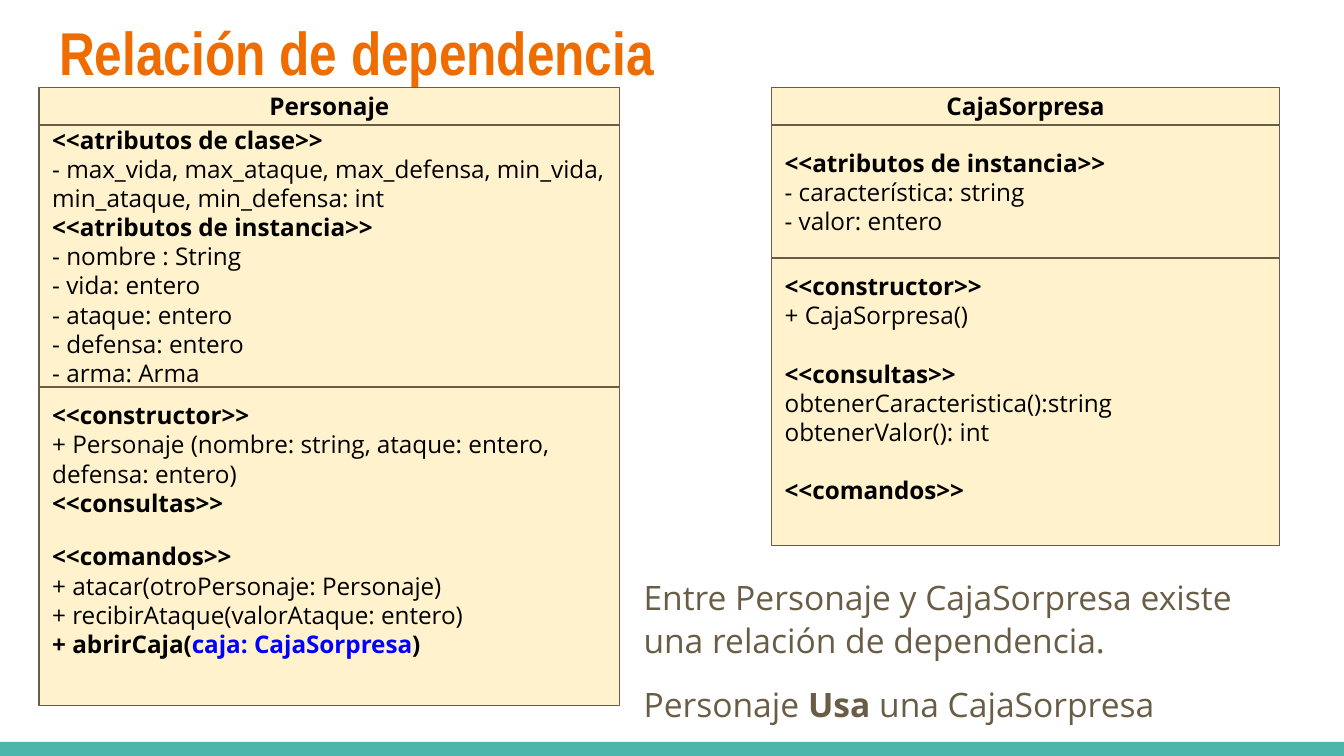
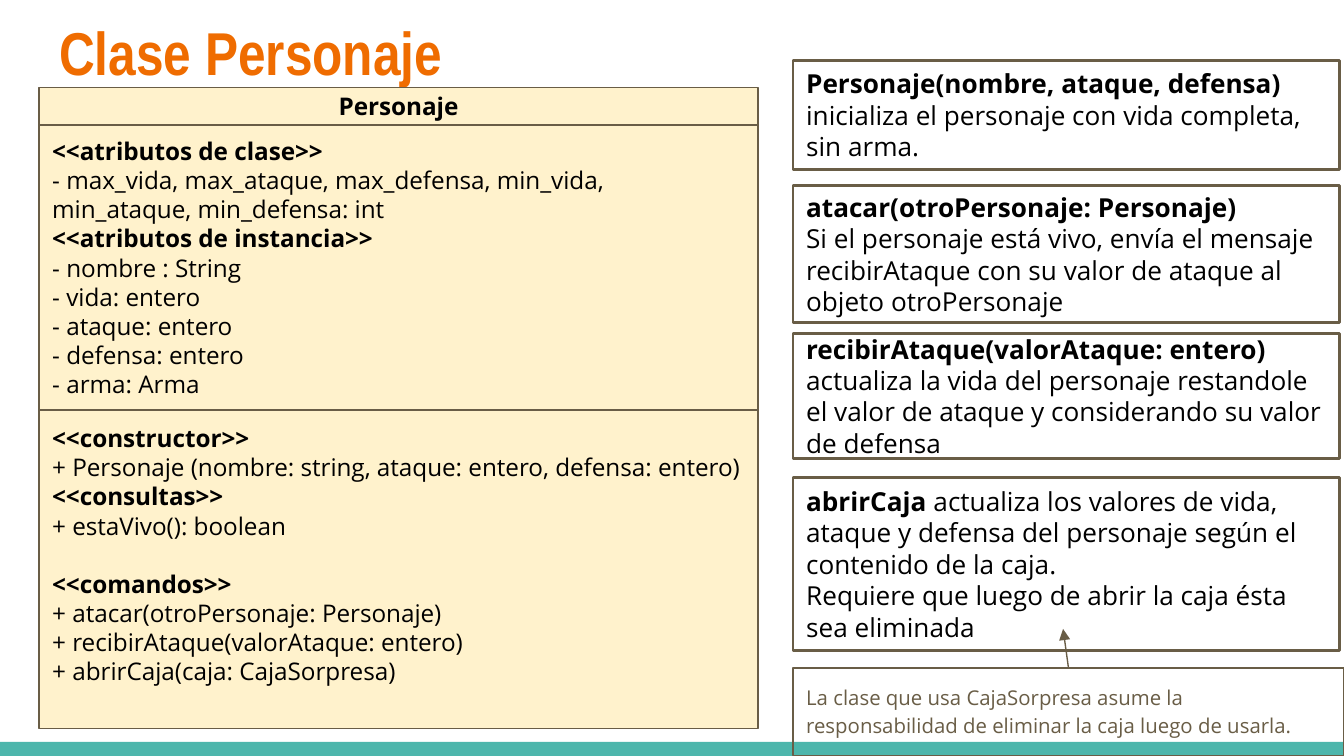
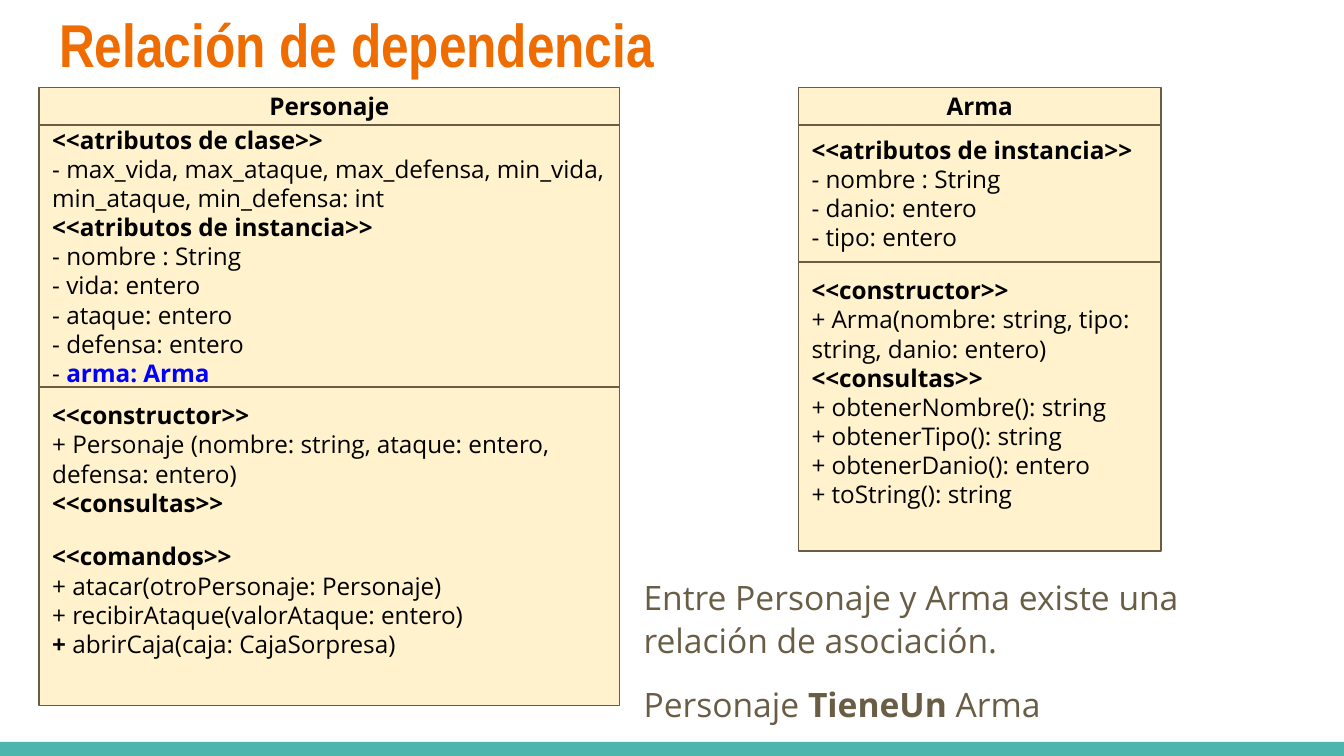
from lxml.etree import SubElement
from pptx import Presentation
from pptx.dml.color import RGBColor
from pptx.enum.shapes import MSO_CONNECTOR, MSO_SHAPE
from pptx.enum.text import MSO_ANCHOR, MSO_AUTO_SIZE, PP_ALIGN
from pptx.oxml.ns import qn
from pptx.util import Inches, Pt

COLORS = {
    "title": "EF6C00",
    "band": "4DB6AC",
    "class": "FFF2CC",
    "brown": "695D46",
    "ink": "000000",
    "highlight": "0000FF",
}
BODY_FONT = "Open Sans"
TITLE_FONT = "Arial Narrow"

prs = Presentation()
prs.slide_width, prs.slide_height = Inches(10), Inches(5.625)
CELL = prs.slide_width // 100


def write(shape, lines, size, color="ink", anchor=MSO_ANCHOR.TOP,
          align=PP_ALIGN.LEFT, font=BODY_FONT, spacing=None, gap=0):
    """Runs are split by |; * marks bold, # bold highlight, ^ a gap above the line."""
    frame = shape.text_frame
    frame.word_wrap = True
    frame.auto_size = MSO_AUTO_SIZE.NONE
    frame.vertical_anchor = anchor
    frame.margin_left = frame.margin_right = CELL
    frame.margin_top = frame.margin_bottom = CELL
    for index, line in enumerate(lines):
        paragraph = frame.add_paragraph() if index else frame.paragraphs[0]
        paragraph.alignment = align
        paragraph.line_spacing = spacing
        paragraph.space_before = Pt(gap if line[0] == "^" else 0)
        parts = line.lstrip("^").split("|")
        all_bold = all(part[0] in "*#" for part in parts)
        paragraph.font.name = font
        paragraph.font.size = Pt(size)
        paragraph.font.bold = all_bold
        paragraph.font.color.rgb = RGBColor.from_string(COLORS[color])
        for part in parts:
            run = paragraph.add_run()
            run.text = part.lstrip("*#")
            if part[0] in "*#" and not all_bold:
                run.font.bold = True
            if part[0] == "#":
                run.font.color.rgb = RGBColor.from_string(COLORS["highlight"])


def add_box(slide, left, top, width, height, fill=None, line="brown", weight=0.75):
    box = slide.shapes.add_shape(
        MSO_SHAPE.RECTANGLE, *(round(n * CELL) for n in (left, top, width, height)))
    box.shadow.inherit = False
    if fill:
        box.fill.solid()
        box.fill.fore_color.rgb = RGBColor.from_string(COLORS[fill])
    else:
        box.fill.background()
    if line:
        box.line.color.rgb = RGBColor.from_string(COLORS[line])
        box.line.width = Pt(weight)
    else:
        box.line.fill.background()
    return box


attributes = [
    "*<<atributos de clase>>",
    "- max_vida, max_ataque, max_defensa, min_vida, min_ataque, min_defensa: int",
    "*<<atributos de instancia>>",
    "- nombre : String",
    "- vida: entero",
    "- ataque: entero",
    "- defensa: entero",
]
constructor = [
    "*<<constructor>>",
    "+ Personaje (nombre: string, ataque: entero, defensa: entero)",
    "*<<consultas>>",
]
commands = [
    "^*<<comandos>>",
    "+ atacar(otroPersonaje: Personaje)",
    "+ recibirAtaque(valorAtaque: entero)",
]
caja_attributes = [
    "*<<atributos de instancia>>",
    "- característica: string",
    "- valor: entero",
]
caja_methods = [
    "*<<constructor>>",
    "+ CajaSorpresa()",
    "^*<<consultas>>",
    "obtenerCaracteristica():string",
    "obtenerValor(): int",
    "^*<<comandos>>",
]
arma_attributes = [
    "*<<atributos de instancia>>",
    "- nombre : String",
    "- danio: entero",
    "- tipo: entero",
]
arma_methods = [
    "*<<constructor>>",
    "+ Arma(nombre: string, tipo: string, danio: entero)",
    "*<<consultas>>",
    "+ obtenerNombre(): string",
    "+ obtenerTipo(): string",
    "+ obtenerDanio(): entero",
    "+ toString(): string",
]

HEADER_TOP, HEADER_BOTTOM = 6.5, 9.3
pages = [
    ("Relación de dependencia", 0, [
        ("Personaje", 2.9, 43.2, 28.8, 52.5, 13.2,
         attributes + ["- arma: Arma"],
         constructor + commands + ["*+ abrirCaja(|#caja: CajaSorpresa|*)"]),
        ("CajaSorpresa", 57.4, 37.8, 19.2, 40.6, 15.6, caja_attributes, caja_methods),
    ], ["Entre Personaje y CajaSorpresa existe una relación de dependencia.",
        "^Personaje |*Usa |una CajaSorpresa"]),
    ("Clase Personaje", 0, [
        ("Personaje", 2.9, 53.5, 30.5, 54.2, 15.6,
         attributes + ["- arma: Arma"],
         constructor + ["+ estaVivo(): boolean"] + commands
         + ["+ abrirCaja(caja: CajaSorpresa)"]),
    ], []),
    ("Relación de dependencia", -0.6, [
        ("Personaje", 2.9, 43.2, 28.8, 52.5, 13.2,
         attributes + ["- |#arma: Arma"],
         constructor + commands + ["*+ |abrirCaja(caja: CajaSorpresa)"]),
        ("Arma", 59.4, 27, 19.5, 41, 15.6, arma_attributes, arma_methods),
    ], ["Entre Personaje y Arma existe una relación de asociación.",
        "^Personaje |*TieneUn |Arma"]),
]

for title, title_top, classes, conclusion in pages:
    slide = prs.slides.add_slide(prs.slide_layouts[5])
    add_box(slide, 0, 55.2, 100, 1.05, "band", None)
    heading = slide.shapes.title
    heading.left, heading.top, heading.width, heading.height = (
        round(n * CELL) for n in (3.4, title_top, 93.2, 7.7))
    write(heading, ["*" + title], 32.4, "title", MSO_ANCHOR.MIDDLE, font=TITLE_FONT)
    if conclusion:
        summary = slide.shapes.add_textbox(
            *(round(n * CELL) for n in (46.9, 41.8, 49.7, 13.4)))
        write(summary, conclusion, 18, "brown", spacing=1.05, gap=12)
    for name, left, width, divider, bottom, gap, fields, methods in classes:
        field_box = add_box(slide, left, HEADER_BOTTOM, width, divider - HEADER_BOTTOM, "class")
        write(field_box, fields, 13, anchor=MSO_ANCHOR.MIDDLE)
        method_box = add_box(slide, left, divider, width, bottom - divider, "class")
        write(method_box, methods, 13, gap=gap)
        header = add_box(slide, left, HEADER_TOP, width, HEADER_BOTTOM - HEADER_TOP, "class")
        write(header, ["*" + name], 13, anchor=MSO_ANCHOR.MIDDLE, align=PP_ALIGN.CENTER)

class_slide = prs.slides[1]
descriptions = [
    (4.5, 8.1, ["*Personaje(nombre, ataque, defensa) |"
                "inicializa el personaje con vida completa, sin arma."]),
    (13.8, 10.2, ["*atacar(otroPersonaje: Personaje)",
                  "Si el personaje está vivo, envía el mensaje recibirAtaque "
                  "con su valor de ataque al objeto otroPersonaje"]),
    (24.8, 9.3, ["*recibirAtaque(valorAtaque: entero) |"
                 "actualiza la vida del personaje restandole el valor de ataque "
                 "y considerando su valor de defensa"]),
    (35.5, 12.9, ["*abrirCaja |actualiza los valores de vida, ataque y defensa "
                  "del personaje según el contenido de la caja.",
                  "Requiere que luego de abrir la caja ésta sea eliminada"]),
]
for top, height, lines in descriptions:
    description = add_box(class_slide, 59, top, 40.7, height, weight=1.5)
    write(description, lines, 14, anchor=MSO_ANCHOR.MIDDLE)

responsibility = add_box(class_slide, 59, 49.7, 41, 6.5)
write(responsibility, ["La clase que usa CajaSorpresa asume la responsabilidad "
                       "de eliminar la caja luego de usarla."], 10.9, "brown", spacing=1.15)
pointer = class_slide.shapes.add_connector(
    MSO_CONNECTOR.STRAIGHT, *(round(n * CELL) for n in (79.5, 49.7, 79.1, 46.8)))
pointer.begin_connect(responsibility, 0)
pointer.line.color.rgb = RGBColor.from_string(COLORS["brown"])
pointer.line.width = Pt(0.75)
SubElement(pointer.line._get_or_add_ln(), qn("a:tailEnd"), type="triangle")
SubElement(pointer._element.spPr, qn("a:effectLst"))

prs.save("out.pptx")
